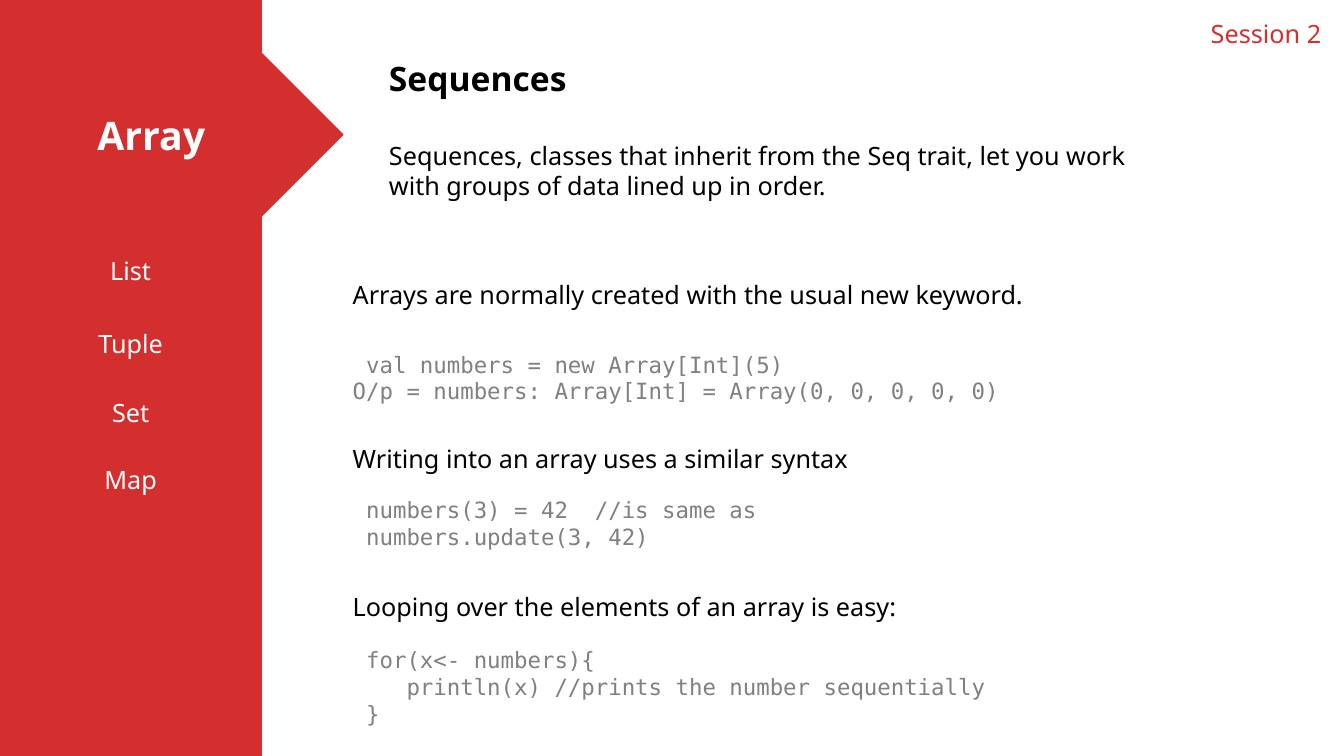
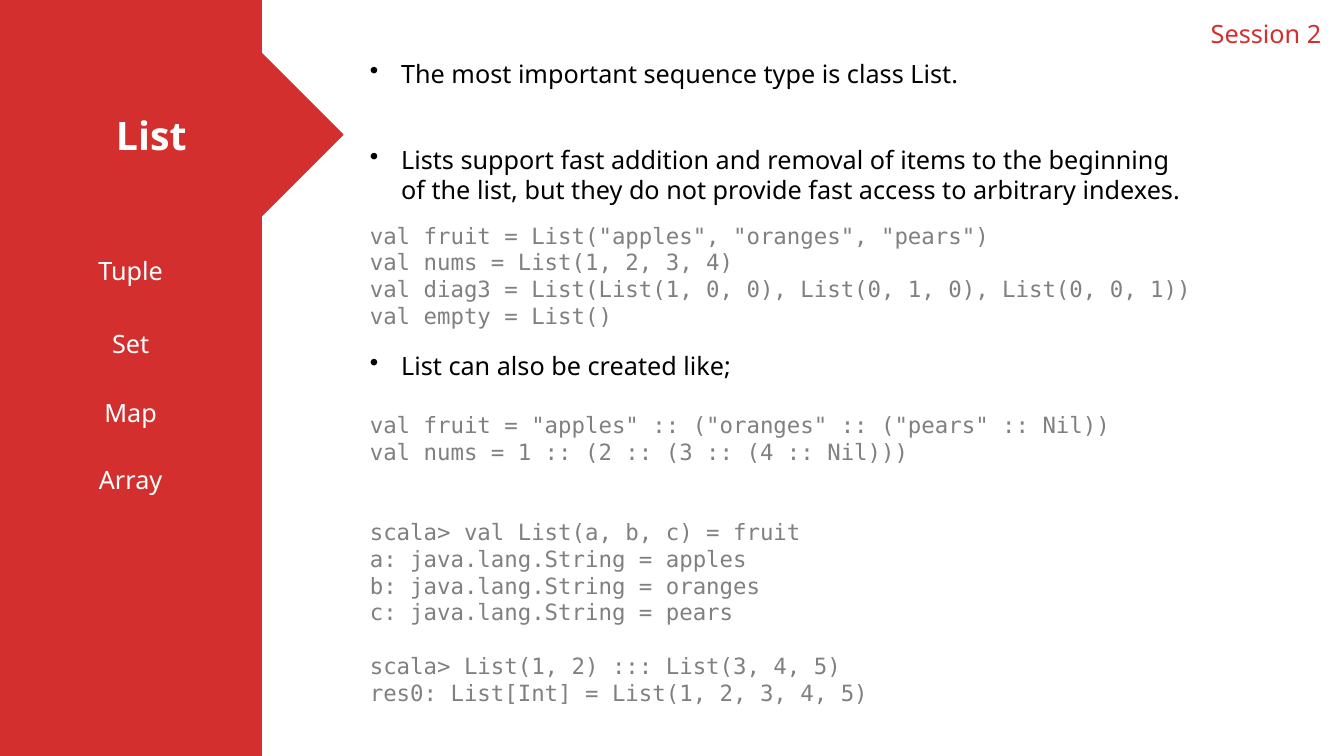
"""Build two slides on Scala collections: arrays and lists."""
import pptx
import pptx.util
import pptx.dml.color
import pptx.enum.shapes
import pptx.enum.text
import pptx.oxml.ns
from lxml import etree

Inches = pptx.util.Inches
Pt = pptx.util.Pt
RED = pptx.dml.color.RGBColor(0xD3, 0x2F, 0x2F)
WHITE = pptx.dml.color.RGBColor(0xFF, 0xFF, 0xFF)
BLACK = pptx.dml.color.RGBColor(0x00, 0x00, 0x00)
GRAY = pptx.dml.color.RGBColor(0x80, 0x80, 0x80)
SHAPES = pptx.enum.shapes.MSO_SHAPE
CENTER = pptx.enum.text.PP_ALIGN.CENTER
LEFT = pptx.enum.text.PP_ALIGN.LEFT
BODY = {"size": 18, "font": "Noto Sans", "color": BLACK}
CODE = {"size": 16, "font": "DejaVu Sans Mono", "color": GRAY}
BULLET = {**BODY, "bullet": True}
MENU = {**BODY, "color": WHITE, "align": CENTER}
TITLE = {**MENU, "size": 28, "bold": True}


def write(frame, text, *, size, font, color, bold=False, align=LEFT, bullet=False, gap=0):
    """Append each line of text to the frame as a formatted paragraph."""
    for number, line in enumerate(text.split("\n")):
        para = frame.add_paragraph() if frame.text else frame.paragraphs[0]
        para.alignment = align
        if gap and number == 0:
            para.space_before = Pt(gap)
        if bullet:
            properties = para._p.get_or_add_pPr()
            properties.set("marL", str(Inches(0.31)))
            properties.set("indent", str(-Inches(0.31)))
            mark = etree.SubElement(properties, pptx.oxml.ns.qn("a:buChar"))
            mark.set("char", "•")
        span = para.add_run()
        span.text = line
        span.font.size = Pt(size)
        span.font.name = font
        span.font.bold = bold
        span.font.color.rgb = color


def add_box(page, left, top, width, height, wrap=True):
    """Add a text box and return its text frame."""
    box = page.shapes.add_textbox(Inches(left), Inches(top), Inches(width), Inches(height))
    box.text_frame.word_wrap = wrap
    return box.text_frame


deck = pptx.Presentation()
deck.slide_width = Inches(13.33)
deck.slide_height = Inches(7.5)

topics = [
    ("Array", ["List", "Tuple", "Set", "Map"]),
    ("List", ["Tuple", "Set", "Map", "Array"]),
]
pages = []
for topic, others in topics:
    page = deck.slides.add_slide(deck.slide_layouts[5])
    pages.append(page)
    for preset, top, width, height in [
        (SHAPES.RECTANGLE, 0, 2.59, 7.5),
        (SHAPES.RIGHT_ARROW, 0.53, 3.4, 1.61),
    ]:
        band = page.shapes.add_shape(preset, 0, Inches(top), Inches(width), Inches(height))
        band.shadow.inherit = False
        band.fill.solid()
        band.fill.fore_color.rgb = RED
        band.line.color.rgb = RED
        band.line.width = Pt(1)

    title = page.shapes.title
    page.shapes.element.append(title.element)
    title.left, title.top = Inches(0), Inches(0.53)
    title.width, title.height = Inches(3), Inches(1.61)
    title.text_frame.vertical_anchor = pptx.enum.text.MSO_ANCHOR.MIDDLE
    write(title.text_frame, topic, **TITLE)

    write(add_box(page, 11.91, 0.13, 1.42, 0.4), "Session 2", **{**BODY, "color": RED})
    for other, top in zip(others, [2.48, 3.21, 3.89, 4.56]):
        write(add_box(page, 0, top, 2.59, 0.4), other, **MENU)

array_page, list_page = pages

write(add_box(array_page, 3.76, 0.53, 2.13, 0.5), "Sequences", **{**BODY, "size": 24, "bold": True})
write(
    add_box(array_page, 3.76, 1.34, 7.9, 0.71),
    "Sequences, classes that inherit from the Seq trait, let you work with groups of data lined up in order.",
    **BODY,
)
array_notes = [
    (2.72, 6.93, 0.4, BODY, "Arrays are normally created with the usual new keyword."),
    (3.43, 6.68, 0.64, CODE, " val numbers = new Array[Int](5)\nO/p = numbers: Array[Int] = Array(0, 0, 0, 0, 0)"),
    (4.35, 5.16, 0.4, BODY, "Writing into an array uses a similar syntax"),
    (4.87, 4.39, 0.64, CODE, " numbers(3) = 42  //is same as\n numbers.update(3, 42)"),
    (5.82, 5.65, 0.4, BODY, "Looping over the elements of an array is easy:"),
    (6.36, 6.55, 0.91, CODE, " for(x<- numbers){\n    println(x) //prints the number sequentially\n }"),
]
for top, width, height, style, text in array_notes:
    write(add_box(array_page, 3.4, top, width, height, wrap=False), text, **style)

write(
    add_box(list_page, 3.57, 0.53, 6.09, 0.4, wrap=False),
    "The most important sequence type is class List.",
    **BULLET,
)
write(
    add_box(list_page, 3.57, 1.38, 8.41, 0.71),
    "Lists support fast addition and removal of items to the beginning of the list, "
    "but they do not provide fast access to arbitrary indexes.",
    **BULLET,
)
write(
    add_box(list_page, 3.57, 2.15, 8.58, 1.18),
    """val fruit = List("apples", "oranges", "pears")
val nums = List(1, 2, 3, 4)
val diag3 = List(List(1, 0, 0), List(0, 1, 0), List(0, 0, 1))
val empty = List()""",
    **CODE,
)
creation = add_box(list_page, 3.57, 3.43, 8.05, 3.67)
write(creation, "List can also be created like;", **BULLET)
write(
    creation,
    """val fruit = "apples" :: ("oranges" :: ("pears" :: Nil))
val nums = 1 :: (2 :: (3 :: (4 :: Nil)))""",
    gap=21.5,
    **CODE,
)
write(
    creation,
    """scala> val List(a, b, c) = fruit
a: java.lang.String = apples
b: java.lang.String = oranges
c: java.lang.String = pears""",
    gap=38,
    **CODE,
)
write(creation, "scala> List(1, 2) ::: List(3, 4, 5)\nres0: List[Int] = List(1, 2, 3, 4, 5)", gap=19, **CODE)

deck.save("out.pptx")
